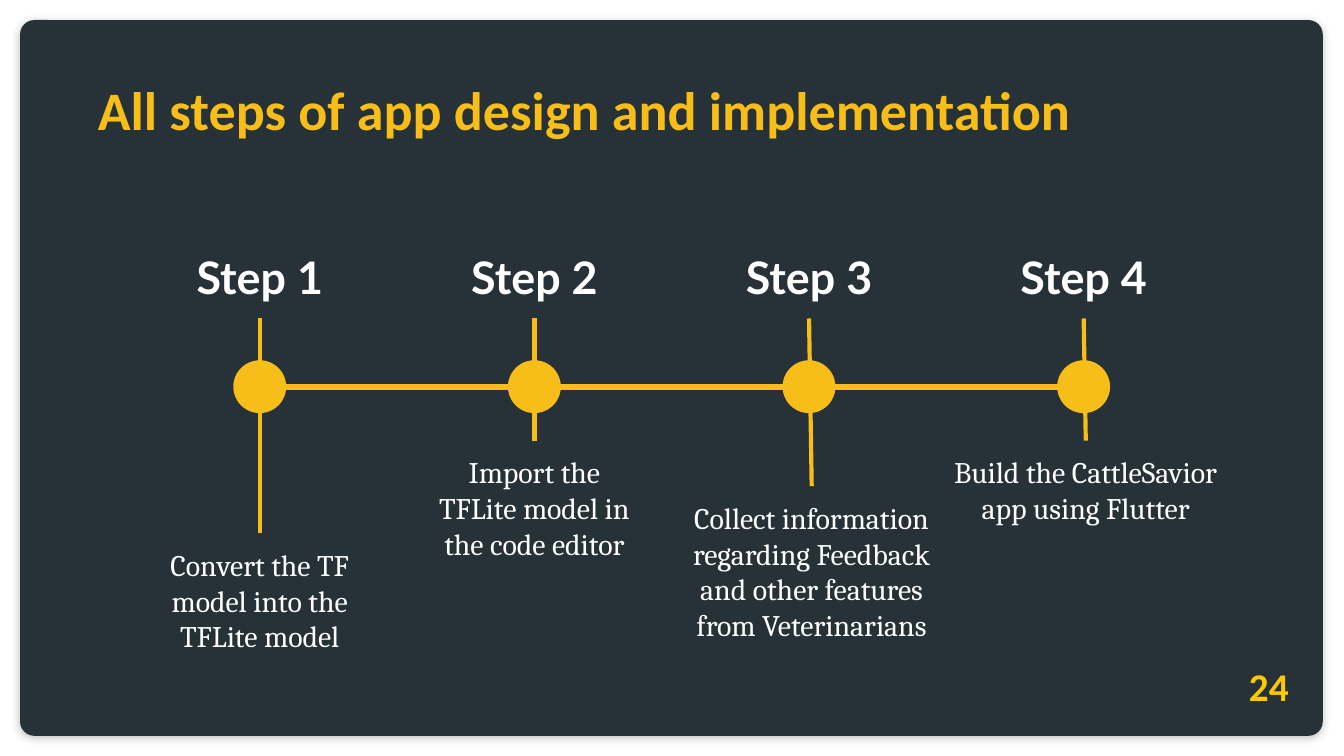
from lxml import etree
from pptx import Presentation
from pptx import util as u
from pptx.dml.color import RGBColor
from pptx.enum import shapes, text
from pptx.oxml import parse_xml
from pptx.oxml.ns import nsdecls, qn

COLOURS = {"card": "263238", "accent": "F7BD18", "number": "FFC800", "white": "FFFFFF"}
TITLE = "All steps of app design and implementation"
PAGE_NUMBER = "24"
# label, description, then in cm: description's shift from the node, top, width, height
STEPS = [
    ("Step 1", "Convert the TF model into the TFLite model", 0, 10.08, 4.45, 1.78),
    ("Step 2", "Import the TFLite model in the code editor", 0, 8.33, 4.45, 1.78),
    ("Step 3", "Collect information regarding Feedback and other features from Veterinarians",
     0.05, 9.19, 5.59, 4.04),
    ("Step 4", "Build the CattleSavior app using Flutter", 0.04, 8.33, 5.54, 1.78),
]
FIRST_X, PITCH = 4.91, 5.19
RAIL_Y, NODE_SIZE = 7.31, 1.0
LABEL_TOP, LABEL_WIDTH, LABEL_HEIGHT = 4.47, 4.45, 1.57
STEM_TOP = 6.02
SHADOW = f"""<a:effectLst {nsdecls("a")}>
  <a:outerShdw blurRad="57150" dist="19050" dir="5400000" algn="bl" rotWithShape="0">
    <a:srgbClr val="000000"><a:alpha val="24000"/></a:srgbClr>
  </a:outerShdw>
</a:effectLst>"""


def colour(name):
    return RGBColor.from_string(COLOURS[name])


def add_filled_shape(slide, kind, left, top, width, height, fill):
    shape = slide.shapes.add_shape(kind, u.Cm(left), u.Cm(top), u.Cm(width), u.Cm(height))
    shape.fill.solid()
    shape.fill.fore_color.rgb = colour(fill)
    shape.line.fill.background()
    return shape


def add_line(slide, start, end, width):
    line = slide.shapes.add_connector(
        shapes.MSO_CONNECTOR.STRAIGHT, *(u.Cm(value) for value in (*start, *end)))
    line.line.color.rgb = colour("accent")
    line.line.width = u.Pt(width)
    etree.SubElement(line._element.spPr, qn("a:effectLst"))


def write(shape, words, font, size, fill, bold=False, centred=True, inset=0.25):
    """Fill a text shape with one run, anchored at the top."""
    frame = shape.text_frame
    frame.word_wrap = True
    frame.auto_size = text.MSO_AUTO_SIZE.NONE
    frame.vertical_anchor = text.MSO_ANCHOR.TOP
    frame.margin_left = frame.margin_right = u.Cm(0.25)
    frame.margin_top = frame.margin_bottom = u.Cm(inset)
    paragraph = frame.paragraphs[0]
    paragraph.alignment = text.PP_ALIGN.CENTER if centred else text.PP_ALIGN.LEFT
    run = paragraph.add_run()
    run.text = words
    run.font.name = font
    run.font.size = u.Pt(size)
    run.font.bold = bold
    run.font.color.rgb = colour(fill)


def add_centred_text(slide, centre, top, width, height, words, font, size, fill, bold=False):
    box = slide.shapes.add_textbox(
        u.Cm(centre - width / 2), u.Cm(top), u.Cm(width), u.Cm(height))
    write(box, words, font, size, fill, bold)


def add_step(slide, centre, step):
    label, description, shift, top, width, height = step
    add_line(slide, (centre, STEM_TOP), (centre + shift, top), 2.25)
    node = add_filled_shape(slide, shapes.MSO_SHAPE.OVAL, centre - NODE_SIZE / 2,
                            RAIL_Y - NODE_SIZE / 2, NODE_SIZE, NODE_SIZE, "accent")
    node.shadow.inherit = False
    add_centred_text(slide, centre, LABEL_TOP, LABEL_WIDTH, LABEL_HEIGHT,
                     label, "Lato", 24, "white", True)
    add_centred_text(slide, centre + shift, top, width, height,
                     description, "Cambria", 16, "white")


def main():
    presentation = Presentation()
    presentation.slide_width, presentation.slide_height = u.Cm(25.4), u.Cm(14.29)
    slide = presentation.slides.add_slide(presentation.slide_layouts[5])

    card = add_filled_shape(slide, shapes.MSO_SHAPE.ROUNDED_RECTANGLE,
                            0.38, 0.38, 24.62, 13.53, "card")
    card.adjustments[0] = 0.02
    card._element.spPr.append(parse_xml(SHADOW))

    title = slide.shapes.title
    title.left, title.top = u.Cm(1.6), u.Cm(1.32)
    title.width, title.height = u.Cm(22.6), u.Cm(1.5)
    write(title, TITLE, "Calibri", 29, "accent", True, centred=False, inset=0.13)
    card._element.addnext(title._element)

    centres = [FIRST_X + PITCH * index for index in range(len(STEPS))]
    radius = NODE_SIZE / 2
    add_line(slide, (centres[0] + radius, RAIL_Y), (centres[-1] + radius, RAIL_Y), 3)
    for centre, step in zip(centres, STEPS):
        add_step(slide, centre, step)

    add_centred_text(slide, 23.98, 12.27, 1.98, 1.42, PAGE_NUMBER, "Calibri", 21, "number", True)
    presentation.save("out.pptx")


if __name__ == "__main__":
    main()
